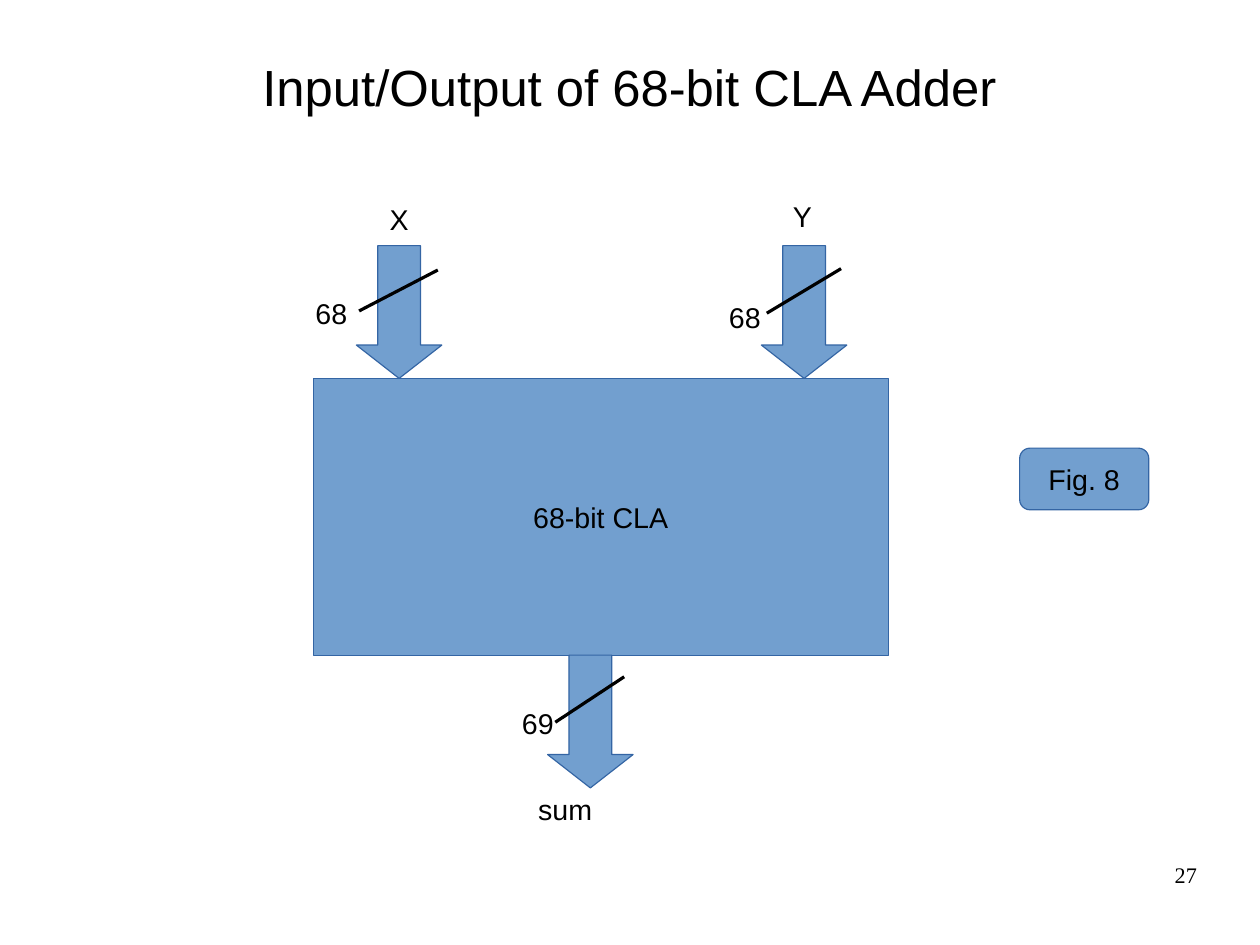
from lxml import etree
from pptx import Presentation
from pptx.dml.color import RGBColor
from pptx.enum.shapes import MSO_CONNECTOR, MSO_SHAPE
from pptx.enum.text import MSO_ANCHOR, PP_ALIGN
from pptx.oxml.ns import qn
from pptx.util import Cm, Pt

RECTANGLE = MSO_SHAPE.RECTANGLE
ROUNDED = MSO_SHAPE.ROUNDED_RECTANGLE
DOWN_ARROW = MSO_SHAPE.DOWN_ARROW
STRAIGHT = MSO_CONNECTOR.STRAIGHT
LEFT, CENTER, RIGHT = PP_ALIGN.LEFT, PP_ALIGN.CENTER, PP_ALIGN.RIGHT
TOP, MIDDLE = MSO_ANCHOR.TOP, MSO_ANCHOR.MIDDLE

COLORS = {"fill": "729FCF", "outline": "3465A4", "ink": "000000"}
BUS_WIDTH, BUS_HEIGHT = 1.9, 2.95
BLOCK_TOP, BLOCK_HEIGHT = 8.41, 6.15


def color(name):
    return RGBColor.from_string(COLORS[name])


def write(frame, text, size=18, font="Arial", align=LEFT, anchor=TOP):
    frame.text = text
    frame.vertical_anchor = anchor
    paragraph = frame.paragraphs[0]
    paragraph.alignment = align
    for run in paragraph.runs:
        run.font.size = Pt(size)
        run.font.name = font
        run.font.color.rgb = color("ink")


def add_label(slide, text, box, inset=True, **style):
    frame = slide.shapes.add_textbox(*map(Cm, box)).text_frame
    frame.word_wrap = True
    if not inset:
        frame.margin_left = frame.margin_right = 0
        frame.margin_top = frame.margin_bottom = 0
    write(frame, text, **style)


def add_block(slide, kind, box, text=""):
    block = slide.shapes.add_shape(kind, *map(Cm, box))
    block.shadow.inherit = False
    block.fill.solid()
    block.fill.fore_color.rgb = color("fill")
    block.line.color.rgb = color("outline")
    block.line.width = Pt(0)
    if text:
        block.text_frame.word_wrap = False
        write(block.text_frame, text, align=CENTER, anchor=MIDDLE)
    return block


def add_slash(slide, ends):
    slash = slide.shapes.add_connector(STRAIGHT, *map(Cm, ends))
    slash.line.color.rgb = color("ink")
    slash.line.width = Pt(0)
    etree.SubElement(slash._element.spPr, qn("a:effectLst"))


def add_bus(slide, left, top, slash, bits, bits_box, signal, signal_box):
    arrow = add_block(slide, DOWN_ARROW, (left, top, BUS_WIDTH, BUS_HEIGHT))
    arrow.adjustments[0] = 0.5
    arrow.adjustments[1] = 0.39
    add_slash(slide, slash)
    add_label(slide, bits, bits_box)
    add_label(slide, signal, signal_box)


def main():
    deck = Presentation()
    deck.slide_width, deck.slide_height = Cm(28), Cm(21)
    slide = deck.slides.add_slide(deck.slide_layouts[6])

    add_label(slide, "Input/Output of 68-bit CLA Adder", (1.4, 0.84, 25.2, 2.16),
              inset=False, size=32, align=CENTER, anchor=MIDDLE)
    add_block(slide, RECTANGLE, (6.96, BLOCK_TOP, 12.78, BLOCK_HEIGHT), "68-bit CLA")

    input_top = BLOCK_TOP - BUS_HEIGHT
    output_top = BLOCK_TOP + BLOCK_HEIGHT
    add_bus(slide, 7.92, input_top, (7.98, 6.91, 9.73, 6.0),
            "68", (6.76, 6.45, 1.55, 0.97), "X", (8.41, 4.37, 0.86, 0.97))
    add_bus(slide, 16.92, input_top, (17.04, 6.96, 18.69, 5.97),
            "68", (15.95, 6.53, 1.4, 1.3), "Y", (17.37, 4.29, 0.86, 0.97))
    add_bus(slide, 12.17, output_top, (13.87, 15.04, 12.34, 16.05),
            "69", (11.35, 15.57, 1.3, 0.97), "sum", (11.71, 17.48, 4.27, 1.3))

    add_block(slide, ROUNDED, (22.66, 9.96, 2.87, 1.37), "Fig. 8")
    add_label(slide, "27", (20.07, 19.13, 6.53, 1.45),
              inset=False, size=14, font="Times New Roman", align=RIGHT)
    deck.save("out.pptx")


if __name__ == "__main__":
    main()
